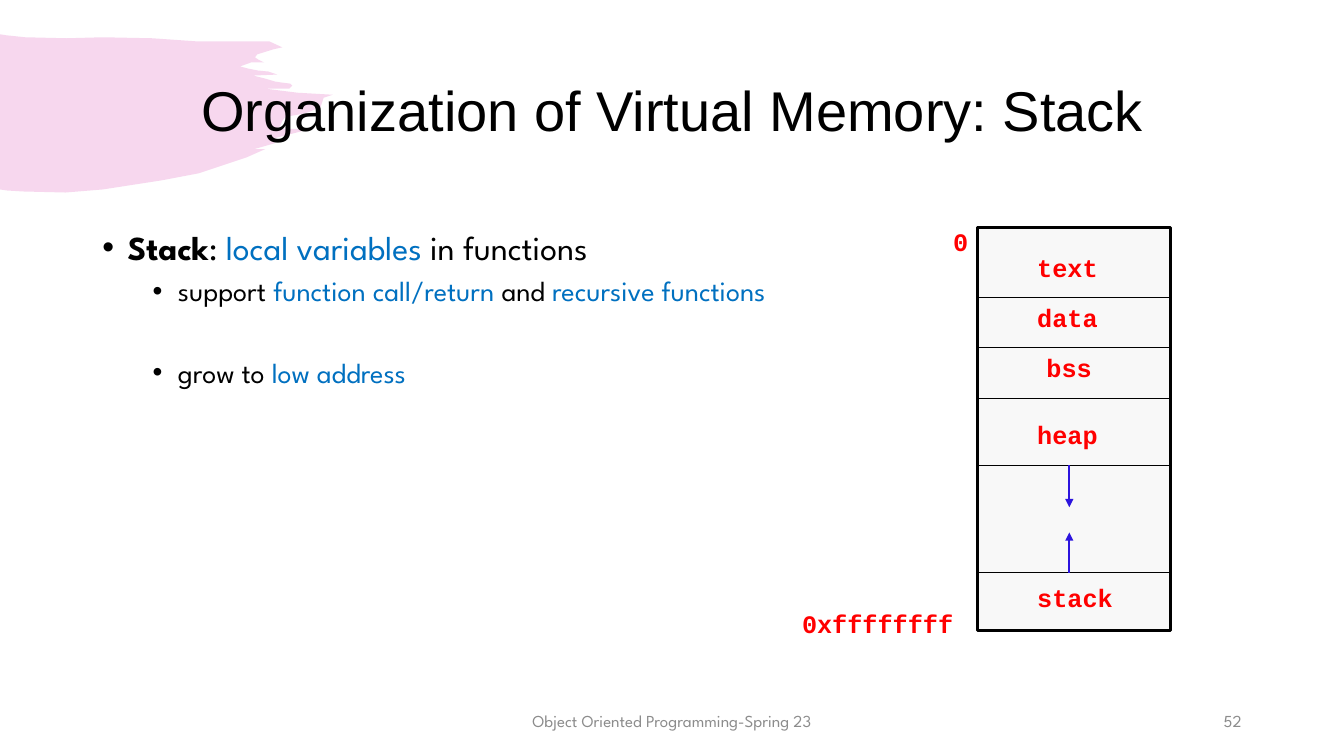
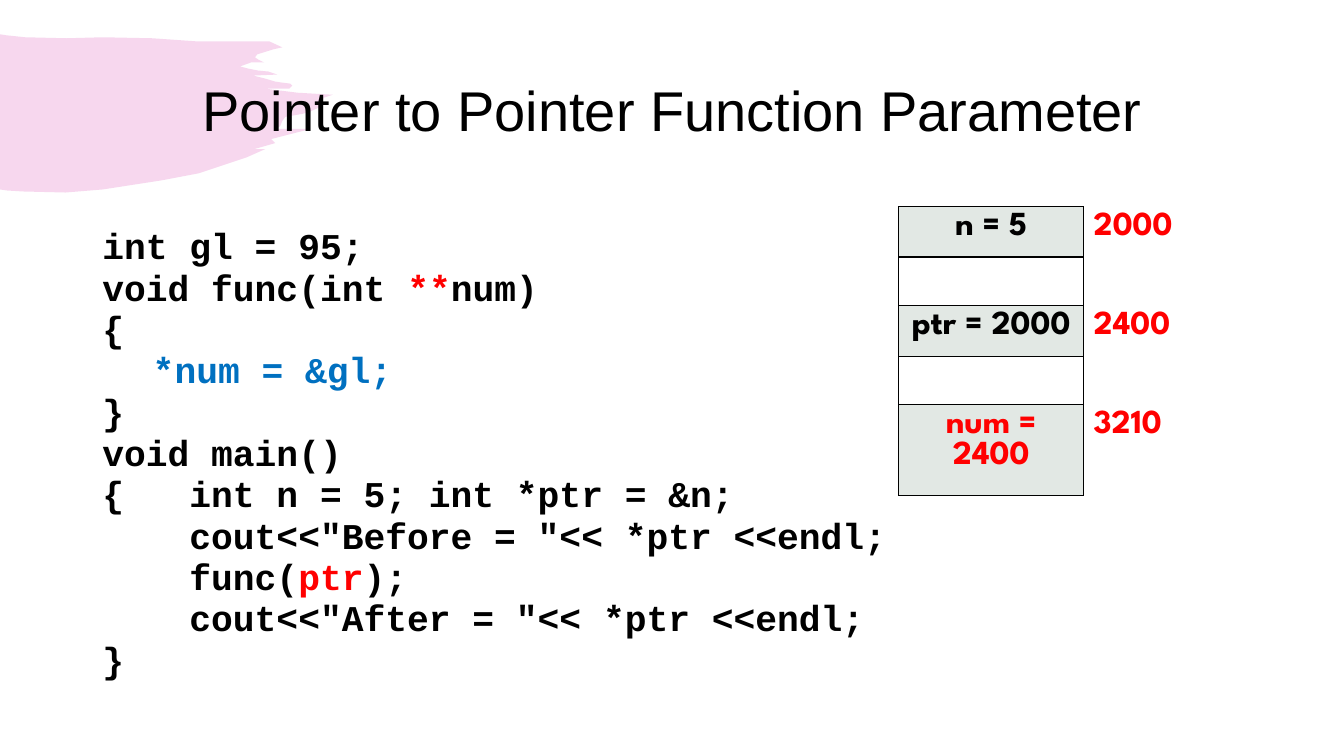
from dataclasses import dataclass
from typing import NamedTuple

from lxml.etree import SubElement
from pptx import Presentation
from pptx.dml.color import RGBColor
from pptx.enum.shapes import MSO_CONNECTOR, MSO_SHAPE
from pptx.enum.text import MSO_ANCHOR, PP_ALIGN
from pptx.oxml.ns import qn
from pptx.util import Emu, Inches, Pt

WIDTH, HEIGHT = Inches(13.33), Inches(7.5)
COLS = 160  # square cells: 160 across, 90 down
CELL = WIDTH / COLS


@dataclass(frozen=True)
class Theme:
    ink: str = "000000"
    red: str = "FF0000"
    blue: str = "0070C0"
    arrow: str = "2C14DE"
    gray: str = "8C8C8C"
    pale: str = "F8F8F8"
    sage: str = "E2E8E4"
    brush: str = "D739AE"
    head: str = "Arial"
    body: str = "League Spartan"
    code: str = "Courier New"
    title: float = 40
    large: float = 24
    list: float = 25.9
    point: float = 20
    label: float = 18
    foot: float = 12


T = Theme()


class Box(NamedTuple):
    """Place and size in grid cells."""
    x: float
    y: float
    w: float
    h: float


class Bit(NamedTuple):
    """A stretch of text in one colour."""
    text: str
    color: str = T.ink
    bold: bool = False


@dataclass(frozen=True)
class Line:
    bits: tuple[Bit, ...]
    size: float
    font: str = T.body
    align: PP_ALIGN = PP_ALIGN.LEFT
    space: float = 1.0
    before: float = 0
    indent: float = 0  # inches; above zero means a bullet


class Label(NamedTuple):
    text: str
    box: Box


class Arrow(NamedTuple):
    start: float
    end: float
    width: float


class Row(NamedTuple):
    name: str = ""
    place: str = ""
    color: str = T.ink


# Outline of the brush stroke, in hundredths of an inch.
BRUSH = (
    (0, 34), (6, 35), (25, 37), (66, 38), (102, 37), (151, 38), (194, 41),
    (248, 41), (267, 41), (280, 47), (271, 49), (255, 54), (253, 57),
    (256, 59), (262, 62), (249, 62), (238, 66), (246, 68), (256, 70),
    (266, 71), (275, 74), (251, 75), (263, 78), (273, 81), (280, 82),
    (288, 83), (290, 85), (287, 88), (284, 88), (263, 88), (295, 92),
    (330, 94), (321, 97), (318, 106), (307, 111), (300, 113), (283, 116),
    (280, 120), (278, 125), (274, 128), (308, 128), (269, 138), (273, 142),
    (252, 148), (263, 148), (245, 156), (197, 172), (160, 179), (102, 188),
    (65, 191), (23, 190), (7, 189), (0, 188),
)

TITLE = Box(11, 4.8, 138, 17.4)
BODY = Box(11, 26.4, 138, 54.6)
FOOT = Box(53, 83.4, 54, 4.8)
PAGE = Box(113, 83.4, 36, 4.8)

POINTS = (
    Line((Bit("Stack", bold=True), Bit(": "), Bit("local variables ", T.blue),
          Bit("in functions")), T.large, indent=0.25),
    Line((Bit("support "), Bit("function call/return ", T.blue), Bit("and "),
          Bit("recursive functions", T.blue)), T.point, before=5, indent=0.75),
    Line((Bit("grow to "), Bit("low address", T.blue)), T.point, before=34,
         indent=0.75),
)

MEMORY = Box(116.4, 27.1, 23, 48)
SPLITS = (35.4, 41.4, 47.4, 55.4, 68.2)
MIDDLE = 127.3
ARROWS = (Arrow(55.4, 60.4, 1.25), Arrow(68.2, 63.4, 1.5))
LABELS = (
    Label("0xffffffff", Box(94.3, 71.9, 20.5, 4.8)),
    Label("0", Box(112.3, 26.4, 5, 4.8)),
    Label("text", Box(122.3, 29.4, 16, 4.8)),
    Label("data", Box(122.3, 35.4, 15, 4.8)),
    Label("bss", Box(123.4, 41.4, 10, 4.8)),
    Label("heap", Box(122.3, 49.4, 15, 4.8)),
    Label("stack", Box(122.3, 68.8, 15, 4.8)),
)

CODE = (
    (Bit("int gl = 95;"),),
    (Bit("void func(int "), Bit("**", T.red), Bit("num)")),
    (Bit("{"),),
    (Bit("\t"), Bit("*num = &gl;", T.blue)),
    (Bit("}"),),
    (Bit("void main()"),),
    (Bit("{   int n = 5; int *ptr = &n;"),),
    (Bit('    cout<<"Before = "<< *ptr <<endl;'),),
    (Bit("    func("), Bit("ptr", T.red), Bit(");")),
    (Bit('    cout<<"After = "<< *ptr <<endl;'),),
    (Bit("}"),),
)

GRID = Box(107, 24.6, 41.7, 29)
SPANS = (22, 19.7)
ROWS = (Row("n = 5", "2000"), Row(), Row("ptr = 2000", "2400"), Row(),
        Row("num = 2400", "3210", T.red))


def cells(*counts: float) -> list[Emu]:
    """Turn counts of grid cells into lengths."""
    return [Emu(round(n * CELL)) for n in counts]


def rgb(color: str) -> RGBColor:
    return RGBColor.from_string(color)


def style(font, name: str, size: float, color: str, bold: bool) -> None:
    font.name, font.size, font.bold = name, Pt(size), bold
    font.color.rgb = rgb(color)


def write(para, line: Line) -> None:
    para.alignment = line.align
    para.line_spacing = line.space
    para.space_before = Pt(line.before)
    if line.indent:
        props = para._p.get_or_add_pPr()
        props.set("marL", str(Inches(line.indent)))
        props.set("indent", str(-Inches(0.25)))
        SubElement(props, qn("a:buFont"), typeface="Arial")
        SubElement(props, qn("a:buChar"), char="•")
    for bit in line.bits:
        run = para.add_run()
        run.text = bit.text
        style(run.font, line.font, line.size, bit.color, bit.bold)


def add_text(slide, box: Box, *lines: Line, anchor=MSO_ANCHOR.TOP,
             wrap: bool = True) -> None:
    frame = slide.shapes.add_textbox(*cells(*box)).text_frame
    frame.word_wrap = wrap
    frame.vertical_anchor = anchor
    for i, line in enumerate(lines):
        write(frame.add_paragraph() if i else frame.paragraphs[0], line)


def add_line(slide, ends: tuple[float, ...], color: str, width: float,
             arrow: bool = False) -> None:
    link = slide.shapes.add_connector(MSO_CONNECTOR.STRAIGHT, *cells(*ends))
    link.line.color.rgb = rgb(color)
    link.line.width = Pt(width)
    if arrow:
        SubElement(link.line._get_or_add_ln(), qn("a:tailEnd"),
                   type="triangle")
    SubElement(link._element.spPr, qn("a:effectLst"))


def add_brush(slide) -> None:
    pen = slide.shapes.build_freeform(*BRUSH[0], scale=Inches(1) / 100)
    pen.add_line_segments(BRUSH[1:], close=True)
    shape = pen.convert_to_shape()
    shape.shadow.inherit = False
    shape.fill.solid()
    shape.fill.fore_color.rgb = rgb(T.brush)
    shape.line.fill.background()
    tint = shape._element.spPr.find(".//" + qn("a:srgbClr"))
    SubElement(tint, qn("a:alpha"), val="20000")


def add_page(deck, title: str):
    """Add a slide with the brush stroke and a title."""
    slide = deck.slides.add_slide(deck.slide_layouts[6])
    add_brush(slide)
    add_text(slide, TITLE, Line((Bit(title),), T.title, T.head,
                                PP_ALIGN.CENTER, 0.9),
             anchor=MSO_ANCHOR.MIDDLE)
    return slide


def add_foot(slide, note: str, page: str) -> None:
    for box, text, align in ((FOOT, note, PP_ALIGN.CENTER),
                             (PAGE, page, PP_ALIGN.RIGHT)):
        add_text(slide, box, Line((Bit(text, T.gray),), T.foot, align=align),
                 anchor=MSO_ANCHOR.MIDDLE)


def draw_stack(slide) -> None:
    block = slide.shapes.add_shape(MSO_SHAPE.RECTANGLE, *cells(*MEMORY))
    block.shadow.inherit = False
    block.fill.solid()
    block.fill.fore_color.rgb = rgb(T.pale)
    block.line.color.rgb = rgb(T.ink)
    block.line.width = Pt(2.25)
    for y in SPLITS:
        add_line(slide, (MEMORY.x, y, MEMORY.x + MEMORY.w, y), T.ink, 0.75)
    for arrow in ARROWS:
        add_line(slide, (MIDDLE, arrow.start, MIDDLE, arrow.end), T.arrow,
                 arrow.width, arrow=True)
    for text, box in LABELS:
        add_text(slide, box, Line((Bit(text, T.red, True),), T.label, T.code),
                 wrap=False)


def edge(cell, sides: str) -> None:
    """Rule the named sides of a table cell and clear the rest."""
    props = cell._tc.get_or_add_tcPr()
    for i, side in enumerate("LRTB"):
        rule = props.makeelement(qn(f"a:ln{side}"), {"w": str(Pt(1))})
        props.insert(i, rule)
        if side in sides:
            fill = SubElement(rule, qn("a:solidFill"))
            SubElement(fill, qn("a:srgbClr"), val=T.ink)
        else:
            SubElement(rule, qn("a:noFill"))


def draw_table(slide) -> None:
    table = slide.shapes.add_table(len(ROWS), len(SPANS),
                                   *cells(*GRID)).table
    table.first_row = table.horz_banding = False
    for col, width in zip(table.columns, cells(*SPANS)):
        col.width = width
    for i, row in enumerate(ROWS):
        table.rows[i].height = cells(GRID.h / len(ROWS))[0]
        looks = ((row.name, row.color, PP_ALIGN.CENTER, "LRTB"),
                 (row.place, T.red, PP_ALIGN.LEFT, "L"))
        for j, (text, color, align, sides) in enumerate(looks):
            cell = table.cell(i, j)
            if text and j == 0:
                cell.fill.solid()
                cell.fill.fore_color.rgb = rgb(T.sage)
            else:
                cell.fill.background()
            edge(cell, sides)
            if text:
                write(cell.text_frame.paragraphs[0],
                      Line((Bit(text, color, True),), T.large, align=align))


def main() -> None:
    deck = Presentation()
    deck.slide_width, deck.slide_height = WIDTH, HEIGHT

    slide = add_page(deck, "Organization of Virtual Memory: Stack")
    add_text(slide, BODY, *POINTS)
    add_foot(slide, "Object Oriented Programming-Spring 23", "52")
    draw_stack(slide)

    slide = add_page(deck, "Pointer to Pointer Function Parameter")
    add_text(slide, BODY, *(
        Line(tuple(bit._replace(bold=True) for bit in bits), T.list, T.code,
             space=0.95) for bits in CODE))
    draw_table(slide)
    deck.save("out.pptx")


if __name__ == "__main__":
    main()
